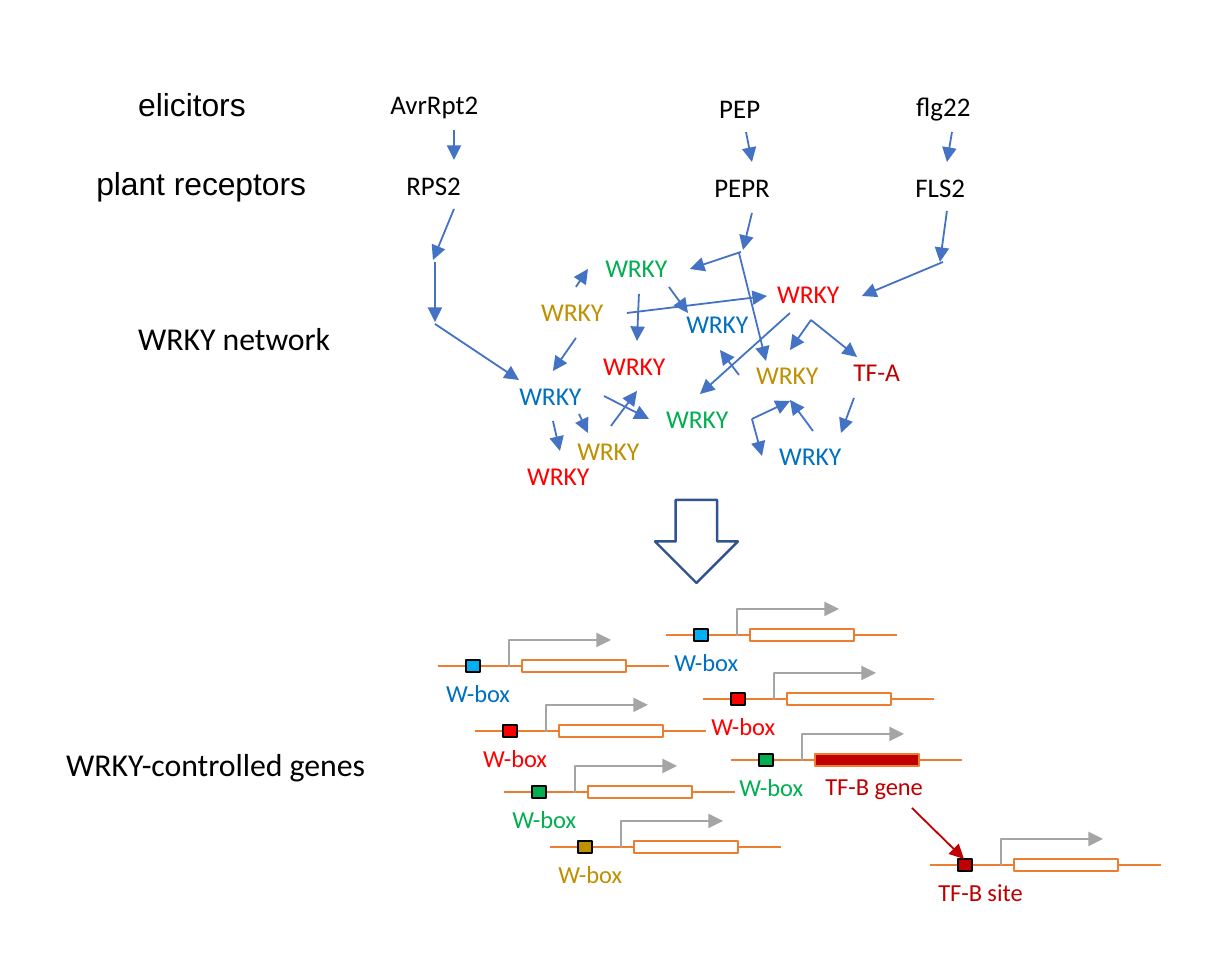
"""Build the slide on WRKY transcription factors between elicitors and target genes."""
from dataclasses import dataclass

from lxml.etree import SubElement
from pptx import Presentation
from pptx.dml.color import RGBColor as Rgb
from pptx.enum.shapes import MSO_CONNECTOR as Route, MSO_SHAPE as Preset
from pptx.enum.text import MSO_AUTO_SIZE as AutoSize, PP_ALIGN as Align
from pptx.oxml.ns import qn
from pptx.util import Pt

PX = 914400 / 176


@dataclass(frozen=True)
class Theme:
    black: str = "000000"
    white: str = "FFFFFF"
    gold: str = "BF9000"
    red: str = "FF0000"
    blue: str = "0070C0"
    sky: str = "00B0F0"
    green: str = "00B050"
    crimson: str = "C00000"
    signal: str = "4472C4"
    dna: str = "ED7D31"
    start: str = "A5A5A5"
    outline: str = "31538F"
    stage_size: float = 13
    protein_size: float = 11
    factor_size: float = 10.5
    site_size: float = 10
    thin: float = 0.75
    thick: float = 1


theme = Theme()
prs = Presentation()
prs.slide_width, prs.slide_height = round(1232 * PX), round(968 * PX)
slide = prs.slides.add_slide(prs.slide_layouts[6])


def write(text, left, top, width, height=51, *, size, color, font="Calibri"):
    label = slide.shapes.add_textbox(*(round(v * PX) for v in (left, top, width, height)))
    frame = label.text_frame
    frame.word_wrap = True
    frame.auto_size = AutoSize.SHAPE_TO_FIT_TEXT
    paragraph = frame.paragraphs[0]
    paragraph.alignment = Align.LEFT
    run = paragraph.add_run()
    run.text = text
    run.font.name, run.font.size = font, Pt(size)
    run.font.color.rgb = Rgb.from_string(color)


def connect(x1, y1, x2, y2, *, color, route=Route.STRAIGHT, arrow=True):
    link = slide.shapes.add_connector(route, *(round(v * PX) for v in (x1, y1, x2, y2)))
    link.line.color.rgb = Rgb.from_string(color)
    link.line.width = Pt(theme.thin)
    properties = link.element.spPr
    if arrow:
        SubElement(properties.find(qn("a:ln")), qn("a:tailEnd"), type="triangle")
    if route == Route.ELBOW:
        adjustments = properties.find(qn("a:prstGeom")).get_or_add_avLst()
        SubElement(adjustments, qn("a:gd"), name="adj1", fmla="val -900")
    SubElement(properties, qn("a:effectLst"))


for stage, left, top, width, font in (
    ("elicitors", 121, 76, 144, "Arial"),
    ("plant receptors", 79, 155, 248, "Arial"),
    ("WRKY network", 121, 310, 260, "Calibri"),
    ("WRKY-controlled genes", 49, 736, 356, "Calibri"),
):
    write(stage, left, top, width, 56, size=theme.stage_size, color=theme.black, font=font)

for protein, left, top, width in (
    ("AvrRpt2", 373, 79, 164),
    ("RPS2", 389, 160, 132),
    ("PEP", 702, 83, 88),
    ("PEPR", 697, 162, 107),
    ("flg22", 899, 81, 106),
    ("FLS2", 898, 162, 99),
):
    write(protein, left, top, width, size=theme.protein_size, color=theme.black)

wrky_family = {
    theme.gold: ((524, 287), (739, 350), (560, 426)),
    theme.red: ((586, 341), (760, 269), (510, 451)),
    theme.blue: ((762, 431), (669, 299), (502, 371)),
    theme.green: ((588, 243), (649, 394)),
}
for color, positions in wrky_family.items():
    for left, top in positions:
        write("WRKY", left, top, 102, size=theme.factor_size, color=color)
write("TF-A", 836, 347, 84, size=theme.factor_size, color=theme.crimson)

receptor_signals = (
    (454, 130, 454, 160), (454, 209, 433, 260), (435, 262, 435, 322), (435, 324, 519, 380),
    (746, 132, 752, 162), (752, 213, 743, 250), (741, 252, 690, 269), (739, 253, 766, 361),
    (952, 132, 947, 162), (947, 211, 940, 262), (943, 262, 862, 296),
)
network_signals = (
    (790, 313, 700, 394), (811, 320, 790, 350), (811, 320, 857, 357), (752, 419, 790, 401),
    (752, 419, 762, 456), (739, 375, 720, 350), (669, 287, 688, 313), (639, 294, 637, 341),
    (627, 313, 767, 296), (576, 338, 553, 371), (604, 396, 649, 419), (611, 426, 637, 391),
    (553, 421, 560, 451), (576, 287, 588, 269), (813, 431, 790, 400), (854, 398, 841, 433),
    (579, 414, 588, 433),
)
for ends in receptor_signals + network_signals:
    connect(*ends, color=theme.signal)

activation = slide.shapes.add_shape(
    Preset.DOWN_ARROW, *(round(v * PX) for v in (655, 500, 83, 83)))
activation.shadow.inherit = False
activation.fill.background()
activation.line.color.rgb = Rgb.from_string(theme.outline)
activation.line.width = Pt(theme.thick)

for left, axis, site, site_fill, site_color, coding_fill in (
    (438, 666, "W-box", theme.sky, theme.blue, theme.white),
    (475, 731, "W-box", theme.red, theme.red, theme.white),
    (504, 792, "W-box", theme.green, theme.green, theme.white),
    (666, 635, "W-box", theme.sky, theme.blue, theme.white),
    (703, 699, "W-box", theme.red, theme.red, theme.white),
    (731, 760, "W-box", theme.green, theme.green, theme.crimson),
    (550, 847, "W-box", theme.gold, theme.gold, theme.white),
    (930, 865, "TF-B site", theme.crimson, theme.crimson, theme.white),
):
    connect(left, axis, left + 231, axis, color=theme.dna, arrow=False)
    connect(left + 72, axis, left + 173, axis - 26, color=theme.start, route=Route.ELBOW)
    for offset, width, fill, edge in (
        (84, 104, coding_fill, theme.dna),
        (28, 14, site_fill, theme.black),
    ):
        region = slide.shapes.add_shape(
            Preset.RECTANGLE, *(round(v * PX) for v in (left + offset, axis - 6, width, 12)))
        region.shadow.inherit = False
        region.fill.solid()
        region.fill.fore_color.rgb = Rgb.from_string(fill)
        region.line.color.rgb = Rgb.from_string(edge)
        region.line.width = Pt(theme.thick)
    site_width = 102 if site == "W-box" else 121
    write(site, left - 9, axis + 3, site_width, 48, size=theme.site_size, color=site_color)

write("TF-B gene", 808, 762, 136, 48, size=theme.site_size, color=theme.crimson)
connect(912, 808, 964, 859, color=theme.crimson)

prs.save("out.pptx")
